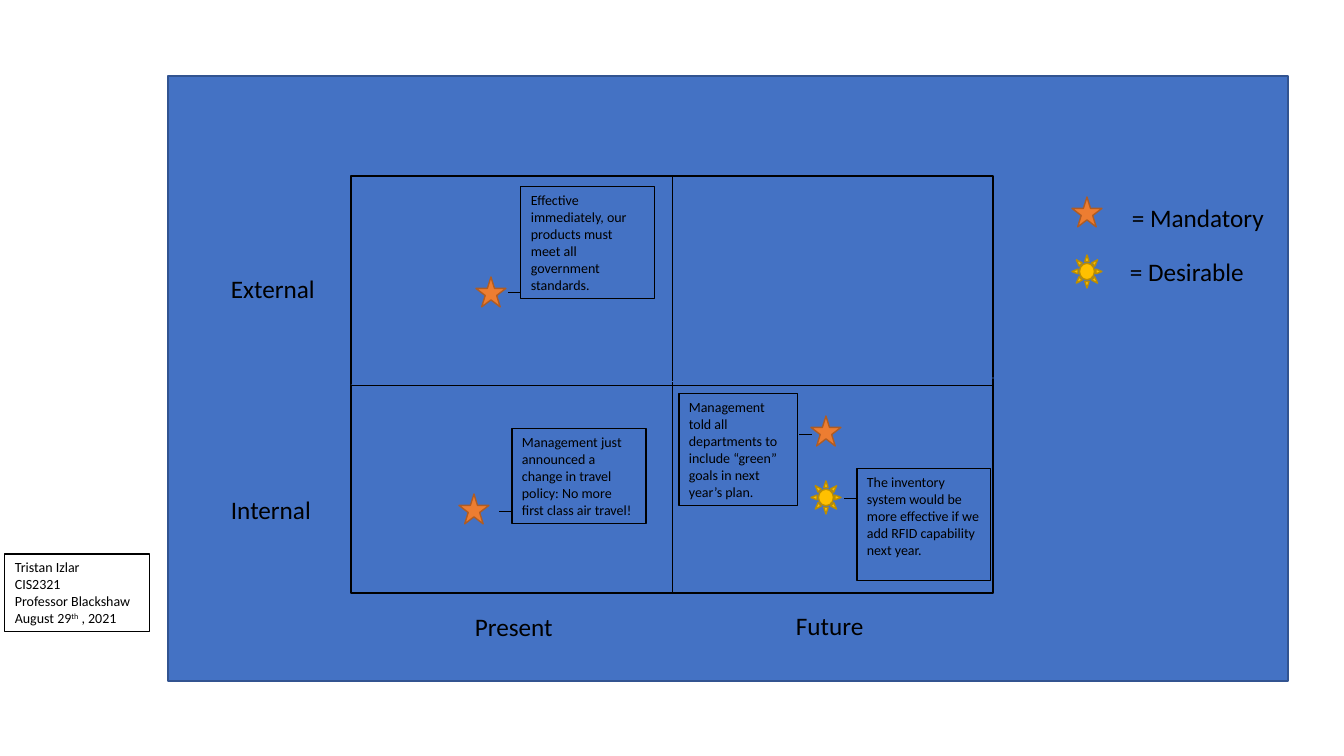
from pptx import Presentation
from pptx.dml.color import RGBColor
from pptx.enum.shapes import MSO_CONNECTOR, MSO_SHAPE
from pptx.enum.text import MSO_ANCHOR, PP_ALIGN
from pptx.oxml.ns import qn
from pptx.util import Emu, Pt
from lxml import etree

RECT, STAR, SUN = MSO_SHAPE.RECTANGLE, MSO_SHAPE.STAR_5_POINT, MSO_SHAPE.SUN
LINE = MSO_CONNECTOR.STRAIGHT
TOP, LEFT = MSO_ANCHOR.TOP, PP_ALIGN.LEFT

BLACK = RGBColor(0x00, 0x00, 0x00)
BLUE = RGBColor(0x44, 0x72, 0xC4)
NAVY = RGBColor(0x32, 0x54, 0x91)
ORANGE = RGBColor(0xED, 0x7D, 0x31)
RUST = RGBColor(0xAF, 0x5C, 0x24)
GOLD = RGBColor(0xFF, 0xC0, 0x00)
OCHRE = RGBColor(0xBD, 0x8E, 0x00)

SCALE = 914400 / 100.8


def px(*nums):
    return [Emu(round(n * SCALE)) for n in nums]


def apply(item, values):
    for name, value in values.items():
        setattr(item, name, value)


def add_text(frame, lines, size):
    """Each line is a list of (text, baseline) runs."""
    apply(frame, {"word_wrap": True, "vertical_anchor": TOP})
    for i, line in enumerate(lines):
        para = frame.add_paragraph() if i else frame.paragraphs[0]
        para.alignment = LEFT
        for text, base in line:
            run = para.add_run()
            run.text = text
            apply(run.font, {"name": "Calibri", "size": Pt(size)})
            run.font.color.rgb = BLACK
            if base:
                run.font._element.set("baseline", str(base * 1000))


def add_box(slide, kind, box, fill, edge, width=1):
    shape = slide.shapes.add_shape(kind, *px(*box))
    shape.shadow.inherit = False
    if fill is None:
        shape.fill.background()
    else:
        shape.fill.solid()
        shape.fill.fore_color.rgb = fill
    shape.line.color.rgb = edge
    shape.line.width = Pt(width)
    return shape


def add_star(slide, x, y):
    add_box(slide, STAR, (x, y, 30, 30), ORANGE, RUST)


def add_sun(slide, x, y):
    add_box(slide, SUN, (x, y, 30, 33), GOLD, OCHRE)


def add_note(slide, box, lines):
    note = add_box(slide, RECT, box, None, BLACK, 0.75)
    add_text(note.text_frame, lines, 10)


def add_label(slide, x, y, width, text):
    label = slide.shapes.add_textbox(*px(x, y, width, 40))
    add_text(label.text_frame, [[(text, 0)]], 18)


def add_line(slide, ends, color=BLACK):
    line = slide.shapes.add_connector(LINE, *px(*ends))
    line.line.color.rgb = color
    line.line.width = Pt(0.5)
    etree.SubElement(line._element.spPr, qn("a:effectLst"))


def main():
    deck = Presentation()
    apply(deck, {"slide_width": Emu(12192000), "slide_height": Emu(6858000)})
    slide = deck.slides.add_slide(deck.slide_layouts[6])

    # Panel and two-by-two grid
    add_box(slide, RECT, (168, 76, 1120, 605), BLUE, NAVY)
    left, top, width, height = grid = 351, 176, 642, 417
    right, base = left + width, top + height
    mid_x, mid_y = left + width // 2, top + height // 2 + 1
    add_box(slide, RECT, grid, BLUE, BLACK)
    add_line(slide, (mid_x, top, mid_x, base))
    add_line(slide, (left, mid_y, right + 1, mid_y - 7), BLUE)
    add_line(slide, (left, mid_y, right, mid_y))

    # Axis labels and legend
    for label in (
        (465, 606, 232, "Present"),
        (786, 605, 174, "Future"),
        (221, 489, 123, "Internal"),
        (221, 268, 129, "External"),
        (1122, 197, 160, "= Mandatory"),
        (1120, 251, 151, "= Desirable"),
    ):
        add_label(slide, *label)
    add_star(slide, 1072, 197)
    add_sun(slide, 1072, 255)

    # Needs: marker, its place, tick start, note box, note text
    for mark, spot, tick, box, text in (
        (add_sun, (811, 481), (844, 498), (857, 469, 134, 112),
         "The inventory system would be more effective if we add RFID "
         "capability next year."),
        (add_star, (459, 494), (499, 511), (512, 429, 134, 95),
         "Management just announced a change in travel policy: "
         "No more first class air travel! "),
        (add_star, (476, 277), (508, 292), (521, 187, 134, 112),
         "Effective immediately, our products must meet all government "
         "standards. "),
        (add_star, (811, 416), (799, 434), (679, 394, 119, 112),
         "Management told all departments to include “green” goals in "
         "next year’s plan."),
    ):
        add_note(slide, box, [[(text, 0)]])
        mark(slide, *spot)
        x, y = tick
        add_line(slide, (x + 13, y, x, y))

    # Author block
    add_note(slide, (5, 554, 145, 78), [
        [("Tristan Izlar", 0)],
        [("CIS2321", 0)],
        [("Professor Blackshaw", 0)],
        [("August 29", 0), ("th", 30), (" , 2021", 0)],
    ])
    deck.save("out.pptx")


main()
